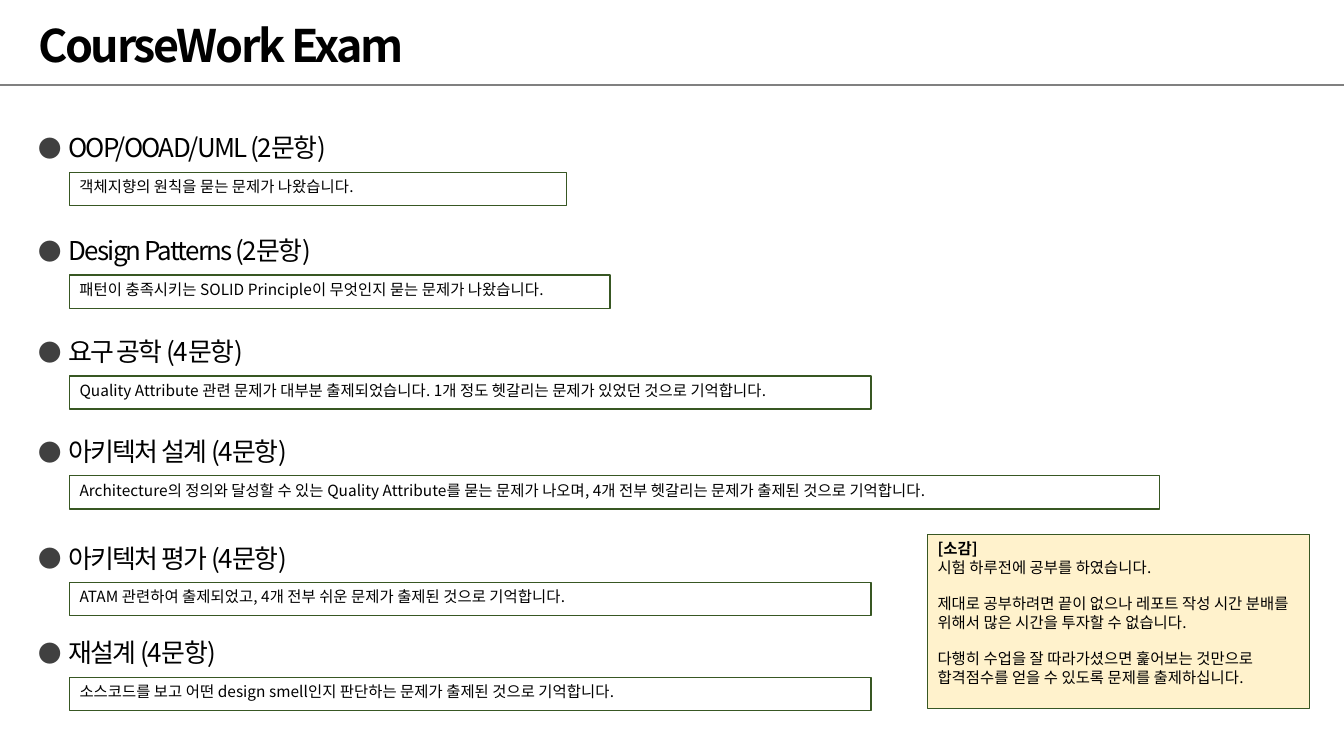
import pptx
import pptx.util
import pptx.dml.color
import pptx.enum.shapes
import pptx.enum.text
import pptx.oxml.ns
from lxml import etree

TITLE = "CourseWork Exam"
# heading, heading top, answer, answer width
TOPICS = [
    ("OOP/OOAD/UML (2문항)", 123, "객체지향의 원칙을 묻는 문제가 나왔습니다.", 493),
    ("Design Patterns (2문항)", 225,
     "패턴이 충족시키는 SOLID Principle이 무엇인지 묻는 문제가 나왔습니다.", 536),
    ("요구 공학 (4문항)", 325,
     "Quality Attribute 관련 문제가 대부분 출제되었습니다. "
     "1개 정도 헷갈리는 문제가 있었던 것으로 기억합니다.", 795),
    ("아키텍처 설계 (4문항)", 424,
     "Architecture의 정의와 달성할 수 있는 Quality Attribute를 묻는 문제가 나오며, "
     "4개 전부 헷갈리는 문제가 출제된 것으로 기억합니다.", 1081),
    ("아키텍처 평가 (4문항)", 530,
     "ATAM 관련하여 출제되었고, 4개 전부 쉬운 문제가 출제된 것으로 기억합니다.", 795),
    ("재설계 (4문항)", 624,
     "소스코드를 보고 어떤 design smell인지 판단하는 문제가 출제된 것으로 기억합니다.", 795),
]
NOTE_HEAD = "[소감]"
NOTES = [  # text, space before in points
    ("시험 하루전에 공부를 하였습니다.", 0),
    ("제대로 공부하려면 끝이 없으나 레포트 작성 시간 분배를 위해서 많은 시간을 투자할 수 없습니다.", 13),
    ("다행히 수업을 잘 따라가셨으면 훑어보는 것만으로 합격점수를 얻을 수 있도록 문제를 출제하십니다.", 13),
]
COLORS = {"ink": "000000", "rule": "808080", "dot": "404040",
          "edge": "385723", "paper": "FFFFFF", "cream": "FFF2CC"}
FONT = "Noto Sans CJK KR"
PX = 9144  # 100 px to the inch
WIDTH, HEIGHT = 1333, 750
LEFT, WIDE = 28, 953
BOX_LEFT, BOX_DROP, BOX_TALL = 69, 48, 33

deck = pptx.Presentation()
deck.slide_width, deck.slide_height = WIDTH * PX, HEIGHT * PX
slide = deck.slides.add_slide(deck.slide_layouts[6])
shapes = slide.shapes


def color(name):
    return pptx.dml.color.RGBColor.from_string(COLORS[name])


def child(parent, tag, **attrs):
    node = etree.SubElement(parent, pptx.oxml.ns.qn("a:" + tag))
    for key, value in attrs.items():
        node.set(key, str(value))
    return node


def write(frame, text, size=11, bold=False, track=0, lead=None,
          before=0, after=0, bullet=False):
    """Fill the first paragraph if it is empty, else add one."""
    para = frame.paragraphs[0]
    if para.runs:
        para = frame.add_paragraph()
    para.alignment = pptx.enum.text.PP_ALIGN.LEFT
    para.space_before = pptx.util.Pt(before)
    para.space_after = pptx.util.Pt(after)
    if lead:
        para.line_spacing = lead
    if bullet:
        props = para._p.get_or_add_pPr()
        props.set("marL", str(30 * PX))
        props.set("indent", str(-30 * PX))
        child(child(props, "buClr"), "srgbClr", val=COLORS["dot"])
        child(props, "buSzPct", val=90000)
        child(props, "buFont", typeface=FONT)
        child(props, "buChar", char="●")
    run = para.add_run()
    run.text = text
    font = run.font
    font.name, font.size, font.bold = FONT, pptx.util.Pt(size), bold
    font.color.rgb = color("ink")
    props = run._r.get_or_add_rPr()
    child(props, "ea", typeface=FONT)
    if track:
        props.set("spc", str(round(track * 100)))


def label(top, tall):
    frame = shapes.add_textbox(LEFT * PX, top * PX, WIDE * PX, tall * PX).text_frame
    frame.word_wrap = True
    return frame


def panel(left, top, wide, tall, fill):
    box = shapes.add_shape(pptx.enum.shapes.MSO_SHAPE.RECTANGLE,
                           left * PX, top * PX, wide * PX, tall * PX)
    box.shadow.inherit = False
    box.fill.solid()
    box.fill.fore_color.rgb = color(fill)
    box.line.color.rgb = color("edge")
    box.line.width = pptx.util.Pt(1)
    box.text_frame.word_wrap = True
    box.text_frame.vertical_anchor = pptx.enum.text.MSO_ANCHOR.TOP
    return box.text_frame


rule = shapes.add_connector(pptx.enum.shapes.MSO_CONNECTOR.STRAIGHT,
                            0, 84 * PX, WIDTH * PX, 84 * PX)
rule.line.color.rgb = color("rule")
rule.line.width = pptx.util.Pt(1.5)
child(rule._element.spPr, "effectLst")

head = label(4, 79)
head.vertical_anchor = pptx.enum.text.MSO_ANCHOR.MIDDLE
head.margin_top, head.margin_bottom = 12 * PX, 4 * PX
write(head, TITLE, size=32, bold=True, track=-1.7, lead=0.9)

for topic, top, answer, wide in TOPICS:
    write(label(top, 47), topic, size=18.5, track=-1.2, lead=1.1,
          before=10, after=5, bullet=True)
    write(panel(BOX_LEFT, top + BOX_DROP, wide, BOX_TALL, "paper"), answer)

note = panel(920, 530, 379, 173, "cream")
write(note, NOTE_HEAD, bold=True)
for text, gap in NOTES:
    write(note, text, before=gap)

deck.save("out.pptx")
